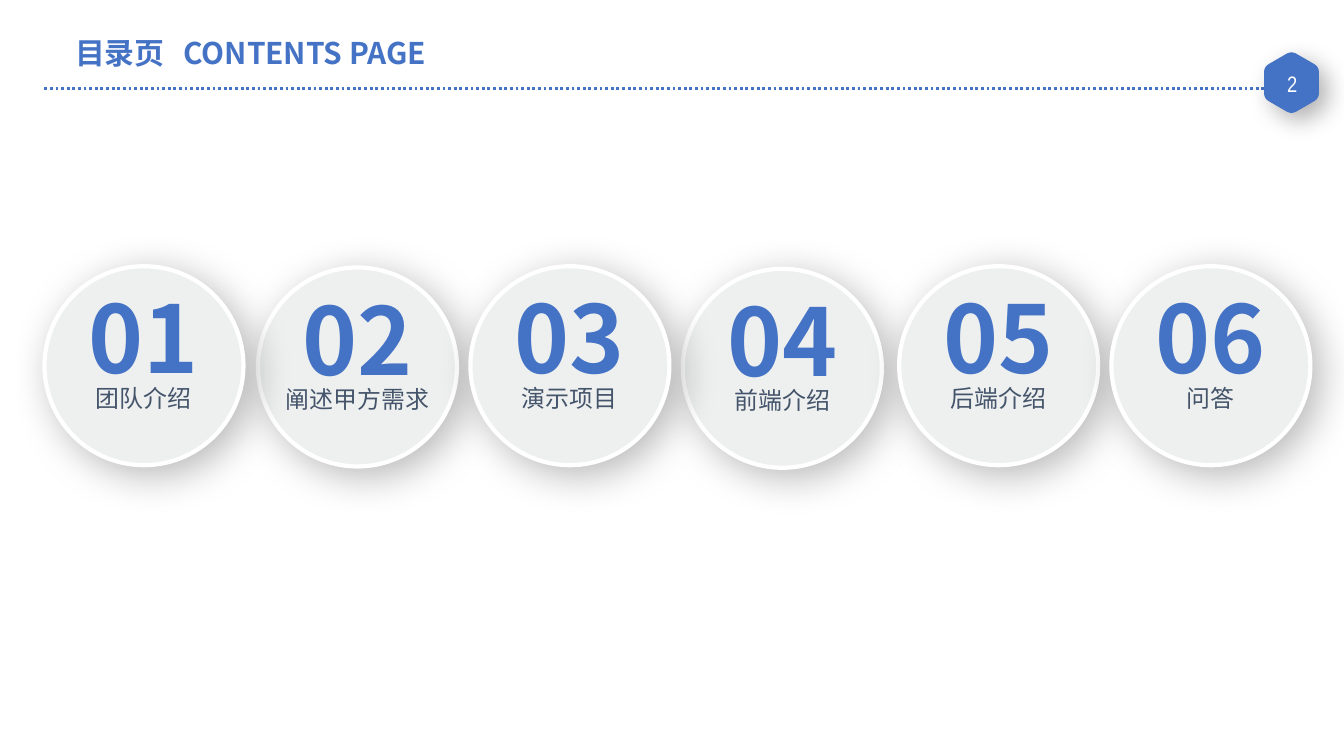
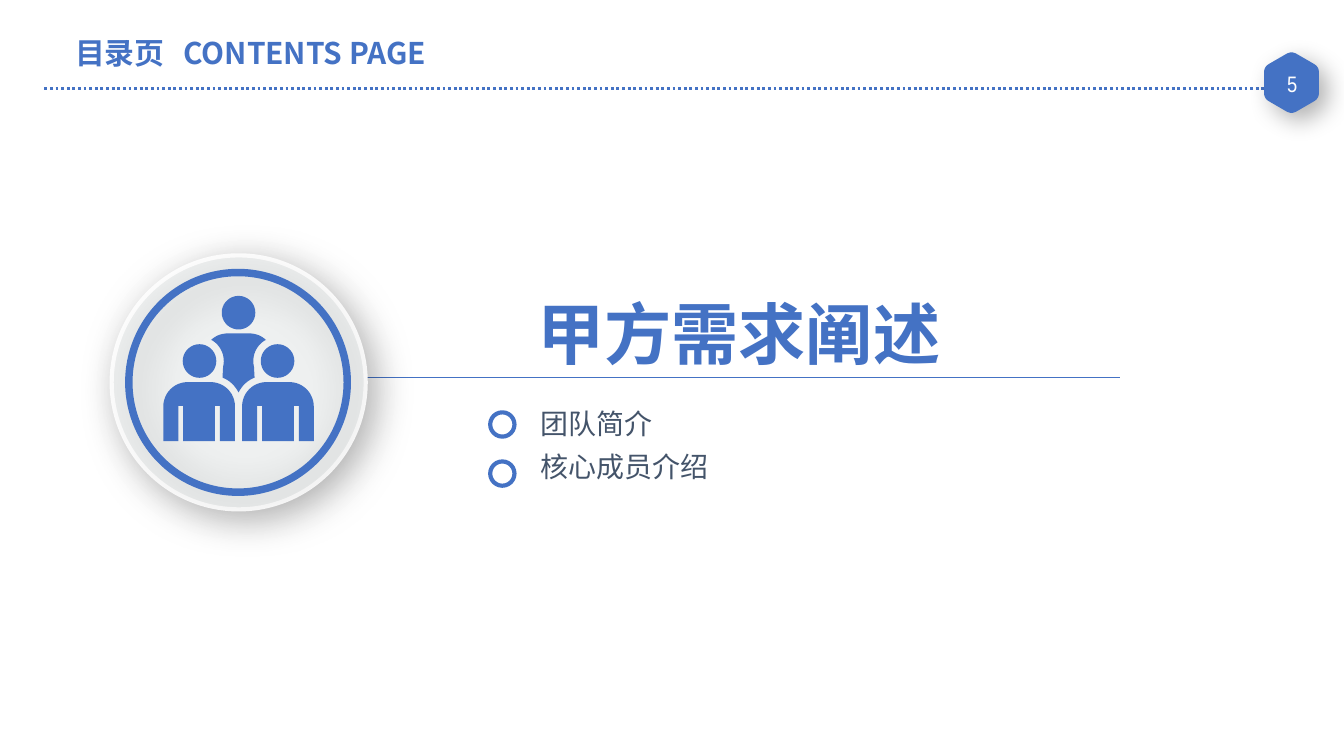
from math import cos, sin, radians
from lxml import etree
from pptx import Presentation
from pptx.util import Pt
from pptx.dml.color import RGBColor
from pptx.enum.dml import MSO_LINE_DASH_STYLE as Dash
from pptx.enum.shapes import MSO_SHAPE as Shape, MSO_CONNECTOR as Connector
from pptx.enum.text import PP_ALIGN as Align, MSO_ANCHOR as Anchor, MSO_AUTO_SIZE as AutoSize
from pptx.oxml.ns import qn

COLORS = {"blue": "4472C4", "slate": "44546A", "disc": "EEF0F0",
          "white": "FFFFFF", "black": "000000"}
CJK = "Noto Sans CJK SC"
NARROW = "Arial Narrow"
HEADER = ("目录页", "\t", "CONTENTS PAGE")
DISC_SHADOW = (28, 22)
BADGE_SHADOW = (30, 13)

CONTENTS = [
    ("02", "阐述甲方需求", 138.2, 143.3),
    ("01", "团队介绍", 23.8, 142.6),
    ("04", "前端介绍", 365.8, 144),
    ("05", "后端介绍", 481.7, 142.6),
    ("06", "问答", 595.4, 142.6),
    ("03", "演示项目", 252, 142.6),
]
SECTION = "甲方需求阐述"
TOPICS = ["团队简介", "核心成员介绍"]

DISC = 106.6
MEDALLION = (59.8, 136.8, 136.1, 136.1)
RING = (67, 144, 121, 121.7)
RING_WIDTH = 4
TOPIC_TOP, TOPIC_PITCH = 215.3, 26.3
ICON_X = 127.8
HEAD_RADIUS = 9
SIDE_HEAD = (-20.9, 193.4)
TOP_HEAD = (0, 167.5)


def rgb(name):
    return RGBColor.from_string(COLORS[name])


def add_effects(shape, shadow):
    shape.shadow.inherit = False
    if shadow:
        alpha, blur = shadow
        effects = shape._element.spPr.find(qn("a:effectLst"))
        outer = etree.SubElement(effects, qn("a:outerShdw"), blurRad=str(Pt(blur)),
                                 dist=str(Pt(6)), dir="2700000", algn="tl", rotWithShape="0")
        color = etree.SubElement(outer, qn("a:srgbClr"), val=COLORS["black"])
        etree.SubElement(color, qn("a:alpha"), val=str(alpha * 1000))


def style(shape, fill, line=None, width=0, shadow=None):
    shape.fill.solid()
    shape.fill.fore_color.rgb = rgb(fill)
    if line:
        shape.line.color.rgb = rgb(line)
        shape.line.width = Pt(width)
    else:
        shape.line.fill.background()
    add_effects(shape, shadow)
    return shape


def add_shape(shapes, kind, area, *look, **options):
    return style(shapes.add_shape(kind, *map(Pt, area)), *look, **options)


def add_line(page, start, end, width, dash=None):
    line = page.shapes.add_connector(Connector.STRAIGHT, *map(Pt, start + end))
    line.line.color.rgb = rgb("blue")
    line.line.width = Pt(width)
    if dash:
        line.line.dash_style = dash
    etree.SubElement(line._element.spPr, qn("a:effectLst"))


def add_span(para, text, size, color, bold=False, font=CJK, small=False):
    span = para.add_run()
    span.text = text
    span.font.size = Pt(size)
    span.font.bold = bold
    span.font.name = font
    span.font.color.rgb = rgb(color)
    props = span._r.get_or_add_rPr()
    etree.SubElement(props, qn("a:ea"), typeface=font)
    if small:
        props.set("cap", "small")


def frame_of(box, area, insets=(5, 2.7), wrap=True, anchor=Anchor.TOP):
    box.left, box.top, box.width, box.height = map(Pt, area)
    frame = box.text_frame
    frame.auto_size = AutoSize.NONE
    frame.word_wrap = wrap
    frame.vertical_anchor = anchor
    frame.margin_left = frame.margin_right = Pt(insets[0])
    frame.margin_top = frame.margin_bottom = Pt(insets[1])
    return frame


def add_label(shapes, area, text, *look, wrap=True, anchor=Anchor.TOP, **options):
    box = shapes.add_textbox(*map(Pt, area))
    para = frame_of(box, area, wrap=wrap, anchor=anchor).paragraphs[0]
    para.alignment = Align.CENTER
    add_span(para, text, *look, **options)


def arc(center, radius, start, end, steps=12):
    angles = [radians(start + (end - start) * i / steps) for i in range(steps + 1)]
    return [(center[0] + radius * cos(a), center[1] + radius * sin(a)) for a in angles]


def bend(start, control, end, steps=8):
    return [tuple((1 - t) ** 2 * a + 2 * t * (1 - t) * b + t * t * c
                  for a, b, c in zip(start, control, end))
            for t in (i / steps for i in range(steps + 1))]


def toward(start, end, share):
    return tuple(a + (b - a) * share for a, b in zip(start, end))


def mirrored(points):
    return [(-x, y) for x, y in reversed(points)]


def add_outline(page, contours, *look, **options):
    builder = None
    for contour in contours:
        points = [(Pt(x), Pt(y)) for x, y in contour]
        if builder is None:
            builder = page.shapes.build_freeform(*points[0], scale=1.0)
        else:
            builder.move_to(*points[0])
        builder.add_line_segments(points[1:], close=True)
    return style(builder.convert_to_shape(), *look, **options)


def add_badge(page, number):
    corners = arc((691.9, 44.3), 16.4, -90, 210, 5)
    outline = []
    for i, corner in enumerate(corners):
        before, after = corners[i - 1], corners[(i + 1) % 6]
        outline += bend(toward(corner, before, 0.17), corner, toward(corner, after, 0.17))
    add_outline(page, [outline], "blue", "blue", 1, shadow=BADGE_SHADOW)
    add_label(page.shapes, (678.2, 36, 28.1, 18), number, 12, "white",
              font=NARROW, anchor=Anchor.MIDDLE)


def add_page(deck, layout, number):
    page = deck.slides.add_slide(deck.slide_layouts[layout])
    add_line(page, (23.8, 47.5), (679, 47.5), 1.5, Dash.ROUND_DOT)
    add_badge(page, number)
    frame = frame_of(page.shapes.title, (25.9, 11.5, 238.3, 33.8), (14.4, 3.6),
                     anchor=Anchor.MIDDLE)
    para = frame.paragraphs[0]
    para.alignment = Align.LEFT
    tabs = etree.SubElement(para._p.get_or_add_pPr(), qn("a:tabLst"))
    etree.SubElement(tabs, qn("a:tab"), pos=str(Pt(58)), algn="l")
    for text in HEADER:
        add_span(para, text, 16, "blue", True)
    return page


def add_contents(page):
    for number, name, left, top in CONTENTS:
        shapes = page.shapes.add_group_shape().shapes
        add_shape(shapes, Shape.OVAL, (left, top, DISC, DISC), "disc", "white", 2.25,
                  shadow=DISC_SHADOW)
        add_label(shapes, (left + 16.6, top + 5, 73.4, 66.2), number, 50, "blue", True,
                  wrap=False)
        width = 16 * len(name) + 11
        add_label(shapes, (left + (DISC - width) / 2, top + 56.9, width, 25.2), name,
                  16, "slate", wrap=False, small=True)


def add_team_icon(page):
    base, slot, shoulder = 236.3, 217.5, 217.7
    body = arc((-27.3, shoulder), 13, 180, 270) + arc((-14.9, shoulder), 13, 270, 360)
    body += [(-1.9, base)]
    for near, far in [(-10, -12.7), (-29.7, -32.3)]:
        body += [(near, base), (near, slot), (far, slot), (far, base)]
    body += [(-40.3, base)]
    torso = bend((-5.6, 178.6), (-11, 178.6), (-14.8, 182.2))
    torso += arc(SIDE_HEAD, 13, -60, 14)
    torso += bend((-8.6, 202.3), (-3, 204.5), (0, 210.2))
    side_head = arc(SIDE_HEAD, HEAD_RADIUS, 0, 360, 36)
    contours = [arc(TOP_HEAD, HEAD_RADIUS, 0, 360, 36), torso + mirrored(torso),
                side_head, mirrored(side_head), body, mirrored(body)]
    add_outline(page, [[(ICON_X + x, y) for x, y in c] for c in contours], "blue")


def add_section(page):
    add_line(page, (192.2, 202.3), (599.8, 202.3), 0.75)
    shapes = page.shapes.add_group_shape().shapes
    add_shape(shapes, Shape.OVAL, MEDALLION, "disc", "white", 2.25, shadow=DISC_SHADOW)
    ring = add_shape(shapes, Shape.DONUT, RING, "blue", shadow=DISC_SHADOW)
    ring.adjustments[0] = RING_WIDTH / RING[2]
    add_label(page.shapes, (211, 154.1, 369.4, 49), SECTION, 36, "blue", True)
    add_team_icon(page)
    frame = frame_of(page.placeholders[1], (284.4, TOPIC_TOP, 133.9, 50.4))
    for i, topic in enumerate(TOPICS):
        add_shape(page.shapes, Shape.OVAL, (262.6, TOPIC_TOP + 5.6 + i * TOPIC_PITCH, 13, 13),
                  "white", "blue", 2.25)
        para = frame.add_paragraph() if i else frame.paragraphs[0]
        para.space_before = Pt(4.6 if i else 0)
        props = para._p.get_or_add_pPr()
        props.set("marL", "0")
        props.set("indent", "0")
        etree.SubElement(props, qn("a:buNone"))
        add_span(para, topic, 15, "slate")


deck = Presentation()
deck.slide_width, deck.slide_height = Pt(720), Pt(405)
add_contents(add_page(deck, 5, "2"))
add_section(add_page(deck, 1, "5"))
deck.save("out.pptx")
